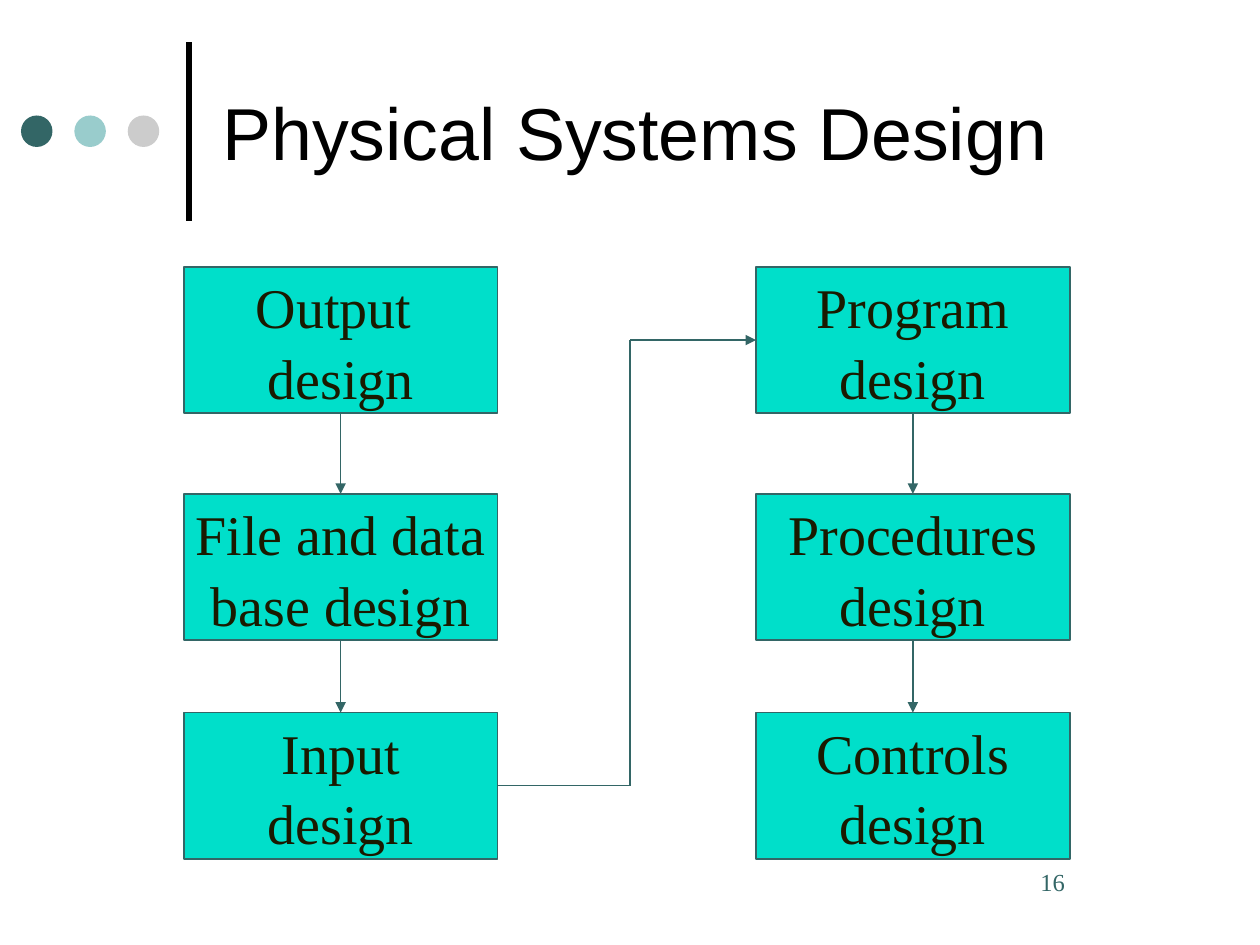
from lxml.etree import SubElement
from pptx import Presentation
from pptx.dml.color import RGBColor
from pptx.enum.shapes import MSO_CONNECTOR as LINE, MSO_SHAPE as SHAPE
from pptx.enum.text import MSO_ANCHOR as ANCHOR, PP_ALIGN as ALIGN
from pptx.oxml.ns import qn
from pptx.util import Pt

BLACK = RGBColor(0x00, 0x00, 0x00)
TEAL = RGBColor(0x33, 0x66, 0x66)
AQUA = RGBColor(0x99, 0xCC, 0xCC)
GREY = RGBColor(0xCC, 0xCC, 0xCC)
TURQUOISE = RGBColor(0x00, 0xDF, 0xCA)
DARK = RGBColor(0x1A, 0x1A, 0x00)

TITLE = "Physical Systems Design"
PAGE_NUMBER = "16"
STEP_COLUMNS = [
    [("Output ", "design"), ("File and data", "base design"), ("Input", "design")],
    [("Program", "design"), ("Procedures", "design"), ("Controls", "design")],
]
COLUMN_LEFTS = (105, 432)
ROW_TOPS = (152.6, 282.2, 407.2)
BOX_WIDTH, BOX_HEIGHT = 179.3, 83.5
ELBOW_X = 360
DOT_COLORS = (TEAL, AQUA, GREY)
DOT_LEFT, DOT_TOP, DOT_SIZE, DOT_STEP = 12, 66, 18, 30.5


def write(shape, lines, font="Times New Roman", size=32, color=DARK,
          align=ALIGN.LEFT, anchor=ANCHOR.TOP, wrap=True, spacing=None):
    frame = shape.text_frame
    frame.word_wrap = wrap
    frame.vertical_anchor = anchor
    for index, line in enumerate(lines):
        para = frame.paragraphs[0] if index == 0 else frame.add_paragraph()
        para.alignment = align
        para.line_spacing = spacing
        span = para.add_run()
        span.text = line
        span.font.name = font
        span.font.size = Pt(size)
        span.font.color.rgb = color


def add_filled(page, kind, left, top, width, height, fill, line=None):
    shape = page.shapes.add_shape(kind, Pt(left), Pt(top), Pt(width), Pt(height))
    shape.shadow.inherit = False
    shape.fill.solid()
    shape.fill.fore_color.rgb = fill
    if line is None:
        shape.line.fill.background()
    else:
        shape.line.color.rgb = line
        shape.line.width = Pt(1)
    return shape


def add_line(page, start, end, color=TEAL, width=1, arrow=False):
    """Draw a line; each end is an (x, y) point or a (shape, side) joint."""
    line = page.shapes.add_connector(LINE.STRAIGHT, 0, 0, 0, 0)
    if hasattr(start[0], "shape_id"):
        line.begin_connect(*start)
    else:
        line.begin_x, line.begin_y = start
    if hasattr(end[0], "shape_id"):
        line.end_connect(*end)
    else:
        line.end_x, line.end_y = end
    line.line.color.rgb = color
    line.line.width = Pt(width)
    properties = line.line._get_or_add_ln()
    if arrow:
        SubElement(properties, qn("a:tailEnd"), type="triangle")
    SubElement(properties.getparent(), qn("a:effectLst"))


def add_header(page):
    add_line(page, (Pt(108), Pt(126)), (Pt(108), Pt(24)), color=BLACK, width=3)
    for index, color in enumerate(DOT_COLORS):
        add_filled(page, SHAPE.OVAL, DOT_LEFT + index * DOT_STEP, DOT_TOP,
                   DOT_SIZE, DOT_SIZE, color)
    title = page.shapes.add_textbox(Pt(120), Pt(15), Pt(552), Pt(120))
    write(title, [TITLE], font="Arial", size=42, color=BLACK, anchor=ANCHOR.MIDDLE)


def add_flow(page):
    columns = []
    for left, steps in zip(COLUMN_LEFTS, STEP_COLUMNS):
        boxes = []
        for top, lines in zip(ROW_TOPS, steps):
            box = add_filled(page, SHAPE.RECTANGLE, left, top,
                             BOX_WIDTH, BOX_HEIGHT, TURQUOISE, TEAL)
            write(box, lines, align=ALIGN.CENTER, anchor=ANCHOR.MIDDLE,
                  wrap=False, spacing=1.05)
            boxes.append(box)
        for upper, lower in zip(boxes, boxes[1:]):
            add_line(page, (upper, 2), (lower, 0), arrow=True)
        columns.append(boxes)

    last, first = columns[0][-1], columns[1][0]
    low = (Pt(ELBOW_X), last.top + last.height // 2)
    high = (Pt(ELBOW_X), first.top + first.height // 2)
    add_line(page, (last, 3), low)
    add_line(page, low, high)
    add_line(page, high, (first, 1), arrow=True)


def main():
    deck = Presentation()
    deck.slide_width, deck.slide_height = Pt(720), Pt(540)
    page = deck.slides.add_slide(deck.slide_layouts[6])
    add_header(page)
    add_flow(page)
    number = page.shapes.add_textbox(Pt(570), Pt(492), Pt(102), Pt(36))
    number.text_frame.margin_left = Pt(24.5)
    write(number, [PAGE_NUMBER], size=14, color=TEAL)
    deck.save("out.pptx")


if __name__ == "__main__":
    main()
